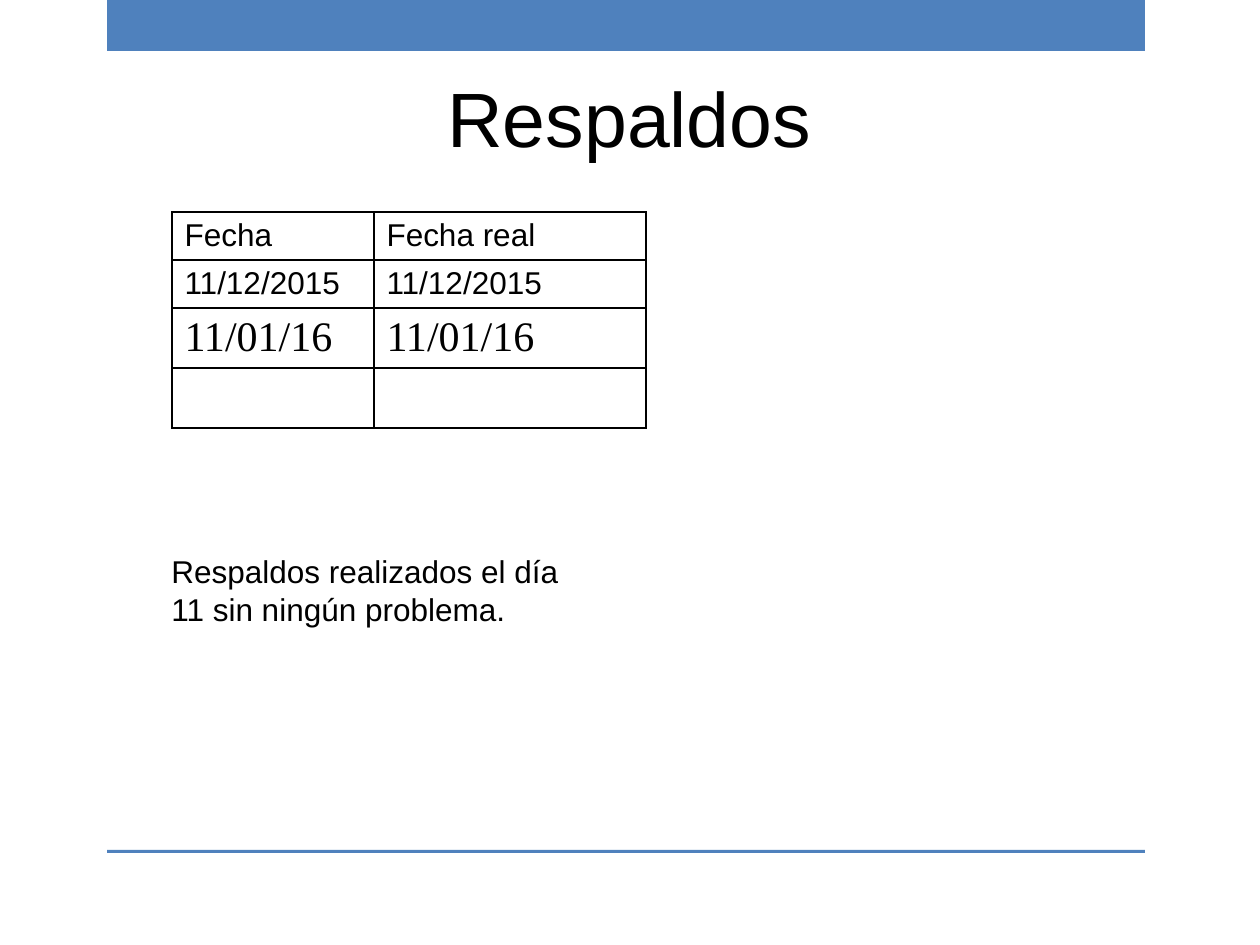
"""Build the Respaldos slide with its table of backup dates."""
from lxml import etree
from pptx import Presentation
from pptx import util as u
from pptx.dml.color import RGBColor
from pptx.enum import shapes, text
from pptx.oxml import ns

SCALE = 914400 / 126


def px(length):
    return u.Emu(round(length * SCALE))


def color(value):
    return RGBColor.from_string(value)


class SlideBuilder:
    accent = "4F81BD"
    ink = "000000"
    sans = "Arial"
    serif = "Times New Roman"

    def __init__(self, slide):
        self.slide = slide

    def add_words(self, frame, words, size, font, align=text.PP_ALIGN.LEFT):
        paragraph = frame.paragraphs[0]
        paragraph.alignment = align
        run = paragraph.add_run()
        run.text = words
        run.font.size = u.Pt(size)
        run.font.name = font
        run.font.color.rgb = color(self.ink)

    def bar(self, *box):
        band = self.slide.shapes.add_shape(shapes.MSO_SHAPE.RECTANGLE, *map(px, box))
        band.shadow.inherit = False
        band.fill.solid()
        band.fill.fore_color.rgb = color(self.accent)
        band.line.fill.background()

    def title(self, words, *box):
        heading = self.slide.shapes.title
        heading.left, heading.top, heading.width, heading.height = map(px, box)
        frame = heading.text_frame
        frame.margin_left = frame.margin_right = frame.margin_top = frame.margin_bottom = 0
        frame.vertical_anchor = text.MSO_ANCHOR.MIDDLE
        self.add_words(frame, words, 44, self.sans, text.PP_ALIGN.CENTER)

    def note(self, words, *box):
        frame = self.slide.shapes.add_textbox(*map(px, box)).text_frame
        frame.word_wrap = True
        self.add_words(frame, words, 18, self.sans)

    def borders(self, cell):
        properties = cell._tc.get_or_add_tcPr()
        for side in ("lnL", "lnR", "lnT", "lnB"):
            edge = etree.SubElement(properties, ns.qn(f"a:{side}"), w=str(u.Pt(1)))
            fill = etree.SubElement(edge, ns.qn("a:solidFill"))
            etree.SubElement(fill, ns.qn("a:srgbClr"), val=self.ink)

    def table(self, left, top, widths, rows):
        heights = [height for height, *_ in rows]
        box = map(px, (left, top, sum(widths), sum(heights)))
        grid = self.slide.shapes.add_table(len(rows), len(widths), *box).table
        for column, width in zip(grid.columns, widths):
            column.width = px(width)
        for row, (height, size, font, values) in zip(grid.rows, rows):
            row.height = px(height)
            for cell, value in zip(row.cells, values):
                self.borders(cell)
                cell.fill.background()
                if value:
                    self.add_words(cell.text_frame, value, size, font)


def main():
    deck = Presentation()
    deck.slide_width, deck.slide_height = px(1260), px(945)
    page = SlideBuilder(deck.slides.add_slide(deck.slide_layouts[5]))
    page.bar(107, 0, 1038, 51)
    page.bar(107, 850, 1038, 3)
    page.title("Respaldos", 63, 38, 1133, 158)
    page.table(172, 212, (202, 272), (
        (48, 18, page.sans, ("Fecha", "Fecha real")),
        (48, 18, page.sans, ("11/12/2015", "11/12/2015")),
        (60, 24, page.serif, ("11/01/16", "11/01/16")),
        (60, 24, page.serif, ("", "")),
    ))
    page.note("Respaldos realizados el día 11 sin ningún problema.", 159, 546, 426, 82)
    deck.save("out.pptx")


if __name__ == "__main__":
    main()
